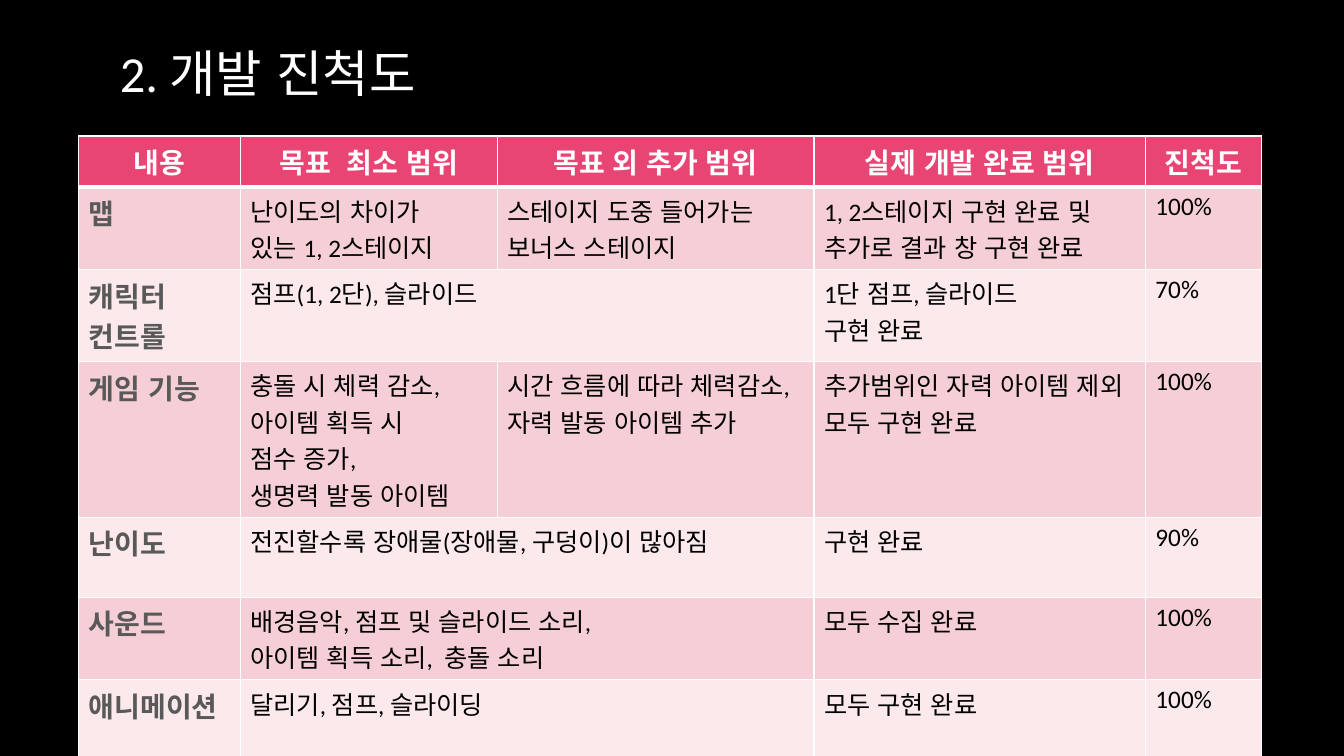
from lxml import etree
from pptx import Presentation
from pptx.dml.color import RGBColor
from pptx.enum import lang, text as t
from pptx.oxml.ns import qn
from pptx.util import Pt

TITLE = "2. 개발 진척도"
HEAD = ["내용", "목표  최소 범위", "목표 외 추가 범위", "실제 개발 완료 범위", "진척도"]
# None joins a cell to the one on its left
ROWS = [
    ["맵", "난이도의 차이가\n있는 1, 2스테이지", "스테이지 도중 들어가는\n보너스 스테이지",
     "1, 2스테이지 구현 완료 및\n추가로 결과 창 구현 완료", "100%"],
    ["캐릭터\n컨트롤", "점프(1, 2단), 슬라이드", None,
     "1단 점프, 슬라이드\n구현 완료", "70%"],
    ["게임 기능", "충돌 시 체력 감소,\n아이템 획득 시\n점수 증가,\n생명력 발동 아이템",
     "시간 흐름에 따라 체력감소,\n자력 발동 아이템 추가",
     "추가범위인 자력 아이템 제외 모두 구현 완료", "100%"],
    ["난이도", "전진할수록 장애물(장애물, 구덩이)이 많아짐", None, "구현 완료", "90%"],
    ["사운드", "배경음악, 점프 및 슬라이드 소리,\n아이템 획득 소리,  충돌 소리", None,
     "모두 수집 완료", "100%"],
    ["애니메이션", "달리기, 점프, 슬라이딩", None, "모두 구현 완료", "100%"],
]
WIDTHS = [115.4, 183.6, 226.2, 236.8, 83.2]
HEIGHTS = [36.2, 59.1, 65.7, 111.4, 57, 59.1, 57]
LEFT, TOP = 56.2, 97.2
COLORS = {"back": "000000", "white": "FFFFFF", "head": "E84574", "label": "595959",
          "body": "000000", "odd": "F6CFD6", "even": "FBE9EB"}


def color(name):
    return RGBColor.from_string(COLORS[name])


def style(frame, size, tint, bold=False, align=t.PP_ALIGN.LEFT):
    for para in frame.paragraphs:
        para.alignment = align
        for run in para.runs:
            font = run.font
            font.name, font.size, font.bold = "Calibri", Pt(size), bold
            font.language_id = lang.MSO_LANGUAGE_ID.KOREAN
            font.color.rgb = color(tint)


def border(cell, row):
    """Draw white cell edges, thicker between the header and the body."""
    props = cell._tc.get_or_add_tcPr()
    for side in "LRTB":
        thick = (row, side) in [(0, "B"), (1, "T")]
        line = etree.SubElement(props, qn(f"a:ln{side}"), w=str(Pt(3 if thick else 1)))
        fill = etree.SubElement(line, qn("a:solidFill"))
        etree.SubElement(fill, qn("a:srgbClr"), val=COLORS["white"])


def add_title(slide):
    box = slide.shapes.add_textbox(Pt(78.5), Pt(20.2), Pt(797.8), Pt(62.6))
    frame = box.text_frame
    frame.word_wrap = True
    frame.vertical_anchor = t.MSO_ANCHOR.MIDDLE
    frame.text = TITLE
    style(frame, 36, "white")


def add_progress(slide):
    data = [HEAD] + ROWS
    table = slide.shapes.add_table(len(data), len(HEAD), Pt(LEFT), Pt(TOP),
                                   Pt(sum(WIDTHS)), Pt(sum(HEIGHTS))).table
    table.horz_banding = False
    for col, width in zip(table.columns, WIDTHS):
        col.width = Pt(width)
    for row, height in zip(table.rows, HEIGHTS):
        row.height = Pt(height)
    for r, line in enumerate(data):
        for c, words in enumerate(line):
            cell = table.cell(r, c)
            border(cell, r)
            cell.fill.solid()
            cell.fill.fore_color.rgb = color("head" if r == 0 else "odd" if r % 2 else "even")
            if words is None:
                table.cell(r, c - 1).merge(cell)
                continue
            cell.text_frame.text = words
            if r == 0:
                style(cell.text_frame, 20, "white", True, t.PP_ALIGN.CENTER)
            elif c == 0:
                style(cell.text_frame, 20, "label", True)
            else:
                style(cell.text_frame, 18, "body")


def main():
    deck = Presentation()
    deck.slide_width, deck.slide_height = Pt(960), Pt(540)
    slide = deck.slides.add_slide(deck.slide_layouts[6])
    slide.background.fill.solid()
    slide.background.fill.fore_color.rgb = color("back")
    add_title(slide)
    add_progress(slide)
    deck.save("out.pptx")


if __name__ == "__main__":
    main()
